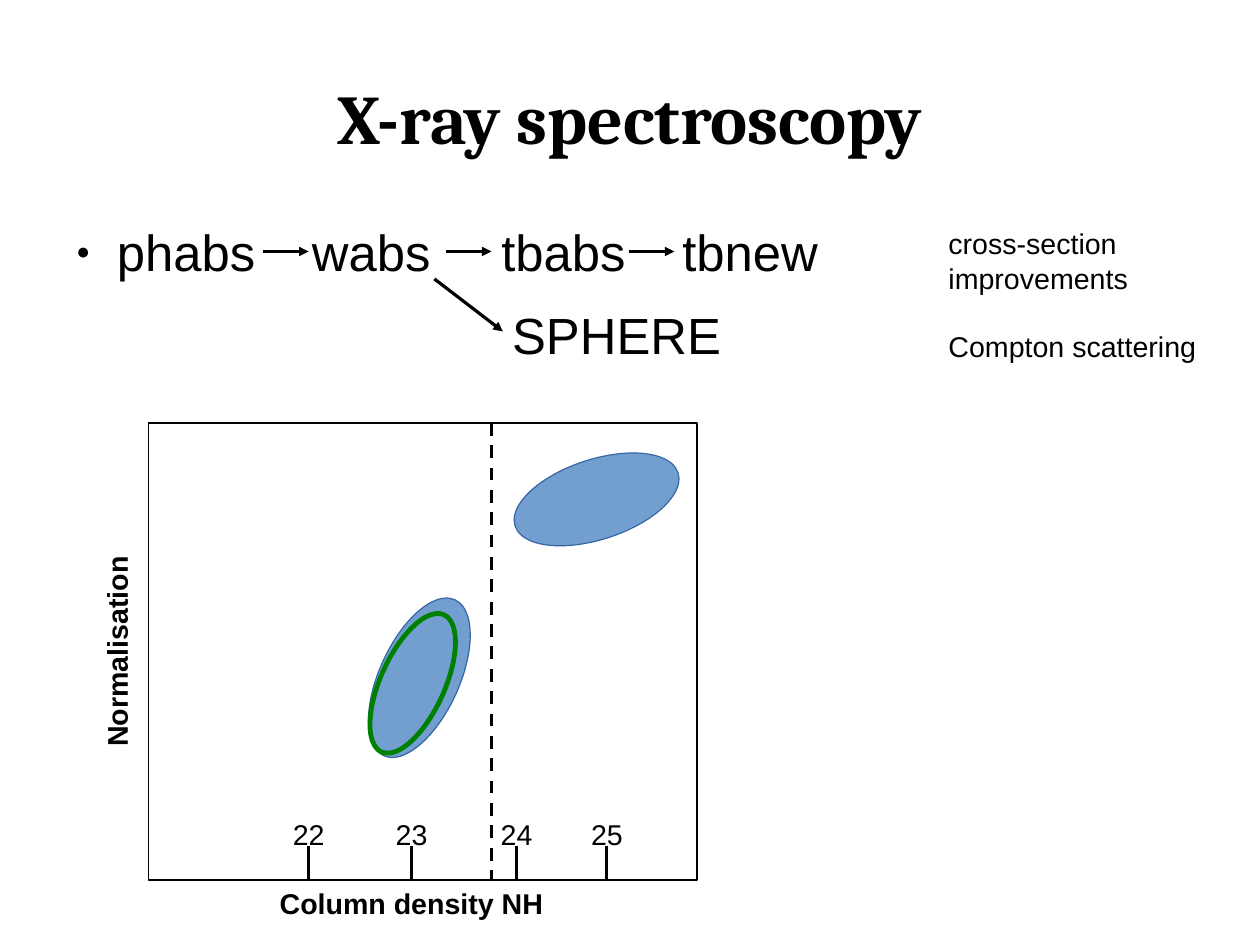
from dataclasses import dataclass
from typing import Any, Optional

import pptx
import pptx.dml.color
import pptx.enum.dml
import pptx.enum.shapes
import pptx.enum.text
import pptx.oxml
import pptx.oxml.ns
import pptx.util

Pt = pptx.util.Pt
Align = pptx.enum.text.PP_ALIGN
Anchor = pptx.enum.text.MSO_ANCHOR
Preset = pptx.enum.shapes.MSO_SHAPE

COLOURS = {"ink": "000000", "ellipse": "729FCF", "edge": "3465A4", "fit": "008000"}
TEXT_INSETS = (7.2, 3.6, 7.2, 3.6)
LABEL_HEIGHT = 27.4
PLOT_LEFT, PLOT_TOP, PLOT_WIDTH, PLOT_HEIGHT = 93.6, 266.4, 345.6, 288
PLOT_BOTTOM = PLOT_TOP + PLOT_HEIGHT
TICK_LENGTH = 21.6


@dataclass
class Line:
    x1: float
    y1: float
    x2: float
    y2: float
    arrow: bool = False
    dashed: bool = False


@dataclass
class Outline:
    preset: Any
    left: float
    top: float
    width: float
    height: float
    line: str
    line_width: float
    fill: Optional[str] = None
    rotation: float = 0


@dataclass
class Tick:
    label: str
    x: float


@dataclass
class Model:
    name: str
    gap: float = 0  # letter spacing of the space after the name


ARROWS = [Line(x, 158.4, x + 28.8, 158.4, arrow=True) for x in (165.6, 280.8, 396)]
ARROWS.append(Line(273.6, 175.7, 316.8, 208.8, arrow=True))

MODELS = [Model("phabs", 26.7), Model("wabs", 35.6), Model("tbabs", 26.7), Model("tbnew")]

PLOT_SHAPES = [
    Outline(Preset.RECTANGLE, PLOT_LEFT, PLOT_TOP, PLOT_WIDTH, PLOT_HEIGHT, "ink", 1),
    Outline(Preset.OVAL, 239, 373, 50.4, 108, "edge", 0, "ellipse", 24.5),
    Outline(Preset.OVAL, 350.6, 260.6, 50.4, 108, "edge", 0, "ellipse", 71.9),
    Outline(Preset.OVAL, 239.8, 383, 40.3, 95, "fit", 3, None, 24.5),
]
TICKS = [Tick("22", 194.4), Tick("23", 259.2), Tick("24", 325.4), Tick("25", 382.3)]


def colour(name: str) -> pptx.dml.color.RGBColor:
    return pptx.dml.color.RGBColor.from_string(COLOURS[name])


def add_xml(parent: Any, xml: str) -> None:
    head, rest = xml.split(" ", 1)
    parent.append(pptx.oxml.parse_xml(f"{head} {pptx.oxml.ns.nsdecls('a')} {rest}"))


def write(para: Any, text: str, *, size: float = 18, font: str = "Arial",
          bold: bool = False, align: Any = None, before: float = 0,
          spacing: float = 0) -> None:
    """Append one formatted run; spacing is extra letter spacing in points."""
    span = para.add_run()
    span.text = text
    span.font.size = Pt(size)
    span.font.name = font
    span.font.bold = bold
    span.font.color.rgb = colour("ink")
    if spacing:
        span.font._element.set("spc", str(round(spacing * 100)))
    if align is not None:
        para.alignment = align
    para.space_before = Pt(before)


def place(box: Any, left: float, top: float, width: float, height: float,
          insets: tuple = TEXT_INSETS, anchor: Any = Anchor.TOP, wrap: bool = True) -> Any:
    """Position a text shape, set up its frame and return the frame."""
    box.left, box.top, box.width, box.height = map(Pt, (left, top, width, height))
    frame = box.text_frame
    frame.auto_size = pptx.enum.text.MSO_AUTO_SIZE.NONE
    frame.word_wrap = wrap
    frame.vertical_anchor = anchor
    (frame.margin_left, frame.margin_top,
     frame.margin_right, frame.margin_bottom) = map(Pt, insets)
    return frame


def add_text_frame(shapes: Any, left: float, top: float, width: float, height: float,
                   wrap: bool = True, rotation: float = 0) -> Any:
    box = shapes.add_textbox(0, 0, 0, 0)
    box.rotation = rotation
    return place(box, left, top, width, height, wrap=wrap)


def set_indent(para: Any, left: float, first: float, bullet: str) -> None:
    properties = para._p.get_or_add_pPr()
    properties.set("marL", str(Pt(left)))
    properties.set("indent", str(Pt(first)))
    if bullet:
        add_xml(properties, f'<a:buClr ><a:srgbClr val="{COLOURS["ink"]}"/></a:buClr>')
        add_xml(properties, '<a:buSzPct val="45000"/>')
        add_xml(properties, f'<a:buChar char="{bullet}"/>')
    else:
        add_xml(properties, "<a:buNone />")


def draw_line(shapes: Any, line: Line) -> None:
    connector = shapes.add_connector(pptx.enum.shapes.MSO_CONNECTOR.STRAIGHT,
                                     Pt(line.x1), Pt(line.y1), Pt(line.x2), Pt(line.y2))
    connector.line.color.rgb = colour("ink")
    connector.line.width = Pt(0)
    if line.dashed:
        connector.line.dash_style = pptx.enum.dml.MSO_LINE.DASH
    if line.arrow:
        add_xml(connector.line._get_or_add_ln(), '<a:tailEnd type="triangle"/>')
    add_xml(connector._element.spPr, "<a:effectLst />")


def draw_outline(shapes: Any, outline: Outline) -> None:
    shape = shapes.add_shape(outline.preset, Pt(outline.left), Pt(outline.top),
                             Pt(outline.width), Pt(outline.height))
    shape.rotation = outline.rotation
    shape.shadow.inherit = False
    shape.line.color.rgb = colour(outline.line)
    shape.line.width = Pt(outline.line_width)
    if outline.fill:
        shape.fill.solid()
        shape.fill.fore_color.rgb = colour(outline.fill)
    else:
        shape.fill.background()


def fill_placeholders(page: Any) -> None:
    frame = place(page.shapes.title, 39.6, 23.8, 714.2, 99.4, (0, 0, 0, 0), Anchor.MIDDLE)
    write(frame.paragraphs[0], "X-ray spectroscopy", size=44, font="Cambria",
          bold=True, align=Align.CENTER)

    frame = place(page.placeholders[1], 39.6, 139, 714.2, 344.9, (0, 0, 0, 0))
    para = frame.paragraphs[0]
    set_indent(para, 34, -25.5, "●")
    for model in MODELS:
        write(para, model.name, size=32)
        if model.gap:
            write(para, " ", size=32, spacing=model.gap)
    para = frame.add_paragraph()
    set_indent(para, 283, 0, "")
    write(para, "SPHERE", size=32, before=14.1)


def draw_plot(shapes: Any) -> None:
    for outline in PLOT_SHAPES:
        draw_outline(shapes, outline)
    draw_line(shapes, Line(309.6, PLOT_TOP, 309.6, PLOT_BOTTOM, dashed=True))
    for tick in TICKS:
        draw_line(shapes, Line(tick.x, PLOT_BOTTOM - TICK_LENGTH, tick.x, PLOT_BOTTOM))
        frame = add_text_frame(shapes, tick.x - 17.3, 511.2, 34.6, LABEL_HEIGHT, wrap=False)
        write(frame.paragraphs[0], tick.label, align=Align.CENTER)
    frame = add_text_frame(shapes, 43.2, PLOT_BOTTOM, 432, LABEL_HEIGHT)
    write(frame.paragraphs[0], "Column density NH", bold=True, align=Align.CENTER)


def main() -> None:
    deck = pptx.Presentation()
    deck.slide_width, deck.slide_height = Pt(793.7), Pt(595.3)
    page = deck.slides.add_slide(deck.slide_layouts[1])
    fill_placeholders(page)
    for arrow in ARROWS:
        draw_line(page.shapes, arrow)

    frame = add_text_frame(page.shapes, 590.4, 139, 194.4, 87.8)
    write(frame.paragraphs[0], "cross-section improvements")
    write(frame.add_paragraph(), "Compton scattering", before=21.6)

    frame = add_text_frame(page.shapes, 0.7, 396.7, 144, LABEL_HEIGHT, rotation=270)
    write(frame.paragraphs[0], "Normalisation", bold=True, align=Align.CENTER)
    draw_plot(page.shapes.add_group_shape().shapes)
    deck.save("out.pptx")


if __name__ == "__main__":
    main()
